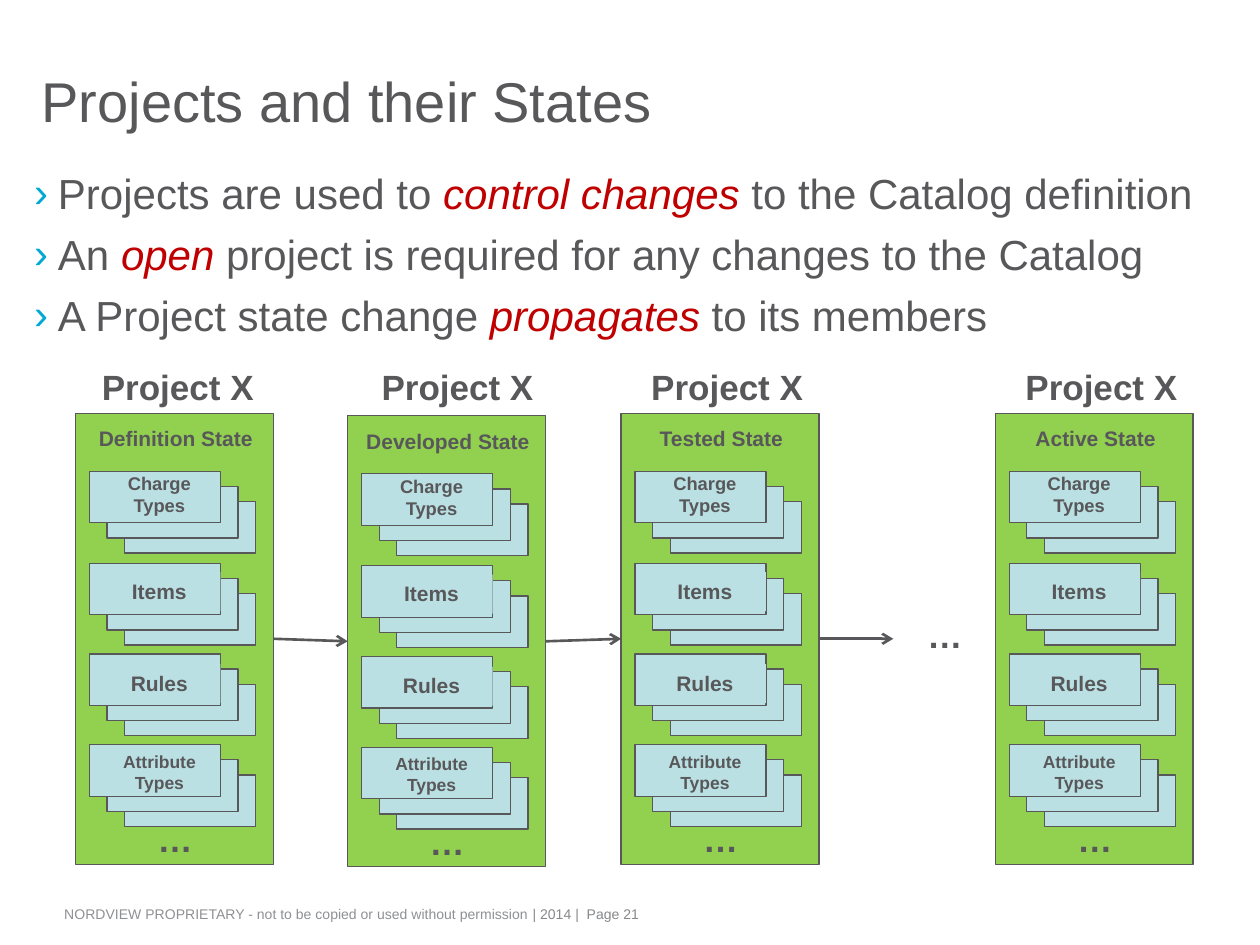
from lxml.etree import SubElement
from pptx import Presentation
from pptx.dml.color import RGBColor
from pptx.enum.shapes import MSO_CONNECTOR, MSO_SHAPE
from pptx.enum.text import MSO_ANCHOR, MSO_AUTO_SIZE, PP_ALIGN
from pptx.oxml.ns import qn
from pptx.util import Inches, Pt

COLORS = {"text": "58585A", "accent": "C00000", "bullet": "00A9D4",
          "panel": "92D050", "card": "BBE0E3",
          "footer": "8F9093", "page": "87888A"}
FONT = "Arial"

TITLE = "Projects and their States"
BULLETS = [
    ("Projects are used to ", "control changes", " to the Catalog definition"),
    ("An ", "open", " project is required for any changes to the Catalog"),
    ("A Project state change ", "propagates", " to its members"),
]
FOOTER = [("NORDVIEW PROPRIETARY - not to be copied or used without permission ", "footer"),
          ("| 2014 |  Page 21", "page")]
HEADING = "Project X"
# state, panel left, panel top, heading left
STATES = [
    ("Definition State", 0.6, 3.28, 0.71),
    ("Developed State", 2.76, 3.3, 2.93),
    ("Tested State", 4.93, 3.28, 5.07),
    ("Active State", 7.9, 3.28, 8.04),
]
# label, size, stack offset, label offset, label height, label fill
MEMBERS = [
    ("Charge Types", 10.5, 0.46, 0.42, 0.49, None),
    ("Items", 12, 1.19, 1.26, 0.31, "card"),
    ("Rules", 12, 1.91, 1.99, 0.31, "card"),
    ("Attribute Types", 10, 2.63, 2.63, 0.45, None),
]
PANEL_WIDTH, PANEL_HEIGHT = 1.57, 3.58
CARD_WIDTH, CARD_HEIGHT = 1.04, 0.41
CARD_STEP_X, CARD_STEP_Y = 0.14, 0.12


def rgb(name):
    return RGBColor.from_string(COLORS[name])


def add_run(para, text, size, color="text", bold=False, italic=False):
    span = para.add_run()
    span.text = text
    font = span.font
    font.name, font.size, font.bold, font.italic = FONT, Pt(size), bold, italic
    font.color.rgb = rgb(color)


def place(shape, left, top, width, height):
    shape.left, shape.top = Inches(left), Inches(top)
    shape.width, shape.height = Inches(width), Inches(height)


def set_frame(frame, anchor, side=0.1, edge=0.05):
    frame.word_wrap = True
    frame.auto_size = MSO_AUTO_SIZE.NONE
    frame.vertical_anchor = anchor
    frame.margin_left = frame.margin_right = Inches(side)
    frame.margin_top = frame.margin_bottom = Inches(edge)


def add_label(page, text, size, left, top, width, height,
              align=PP_ALIGN.CENTER, fill=None):
    box = page.shapes.add_textbox(Inches(left), Inches(top), Inches(width), Inches(height))
    if fill:
        box.fill.solid()
        box.fill.fore_color.rgb = rgb(fill)
    set_frame(box.text_frame, MSO_ANCHOR.TOP)
    para = box.text_frame.paragraphs[0]
    para.alignment = align
    add_run(para, text, size, bold=True)


def add_rectangle(page, left, top, width, height, fill):
    box = page.shapes.add_shape(MSO_SHAPE.RECTANGLE, Inches(left), Inches(top),
                                Inches(width), Inches(height))
    box.shadow.inherit = False
    box.fill.solid()
    box.fill.fore_color.rgb = rgb(fill)
    box.line.color.rgb = rgb("text")
    box.line.width = Pt(0.75)
    return box


def add_arrow(page, start, end=None, length=0.59):
    """Join two panels, or leave the arrow open after the first one."""
    left, top = start.left + start.width, start.top + start.height // 2
    arrow = page.shapes.add_connector(MSO_CONNECTOR.STRAIGHT, left, top,
                                      left + Inches(length), top)
    arrow.begin_connect(start, 3)
    if end is not None:
        arrow.end_connect(end, 1)
    arrow.line.color.rgb = rgb("text")
    arrow.line.width = Pt(1.5)
    SubElement(arrow.line._get_or_add_ln(), qn("a:tailEnd"), type="arrow")
    SubElement(arrow._element.spPr, qn("a:effectLst"))


def set_bullet(para, indent):
    properties = para._p.get_or_add_pPr()
    properties.set("marL", str(Inches(indent)))
    properties.set("indent", str(-Inches(indent)))
    color = SubElement(properties, qn("a:buClr"))
    SubElement(color, qn("a:srgbClr"), val=COLORS["bullet"])
    SubElement(properties, qn("a:buFont"), typeface=FONT)
    SubElement(properties, qn("a:buChar"), char="›")


def fill_title(title):
    place(title, 0.25, 0.26, 8.2, 1.19)
    set_frame(title.text_frame, MSO_ANCHOR.MIDDLE, 0.08, 0)
    para = title.text_frame.paragraphs[0]
    para.alignment = PP_ALIGN.LEFT
    para.line_spacing = 0.75
    add_run(para, TITLE, 32)


def fill_body(body):
    place(body, 0.19, 1.33, 9.72, 1.51)
    frame = body.text_frame
    set_frame(frame, MSO_ANCHOR.TOP, 0.08, 0)
    for number, (before, stressed, after) in enumerate(BULLETS):
        para = frame.add_paragraph() if number else frame.paragraphs[0]
        para.space_before = Pt(6)
        set_bullet(para, 0.19)
        add_run(para, before, 24)
        add_run(para, stressed, 24, "accent", italic=True)
        add_run(para, after, 24)


def add_footer(page):
    box = page.shapes.add_textbox(Inches(0.43), Inches(7.14), Inches(8.09), Inches(0.24))
    set_frame(box.text_frame, MSO_ANCHOR.TOP, 0.08)
    for text, color in FOOTER:
        add_run(box.text_frame.paragraphs[0], text, 8, color)


def add_state(page, state, left, top, heading_left):
    panel = add_rectangle(page, left, top, PANEL_WIDTH, PANEL_HEIGHT, "panel")
    add_label(page, state, 12, left + 0.04, top + 0.05, 1.51, 0.31)
    for text, size, stack_offset, label_offset, height, fill in MEMBERS:
        for depth in (2, 1, 0):
            add_rectangle(page, left + 0.11 + depth * CARD_STEP_X,
                          top + stack_offset + depth * CARD_STEP_Y,
                          CARD_WIDTH, CARD_HEIGHT, "card")
        add_label(page, text, size, left + 0.18, top + label_offset, 0.97, height, fill=fill)
    add_label(page, "…", 20, left + 0.51, top + 3.16, 0.56, 0.45)
    add_label(page, HEADING, 20, heading_left, 2.85, 1.43, 0.45, PP_ALIGN.LEFT)
    return panel


def main():
    deck = Presentation()
    deck.slide_width, deck.slide_height = Inches(10), Inches(7.5)
    page = deck.slides.add_slide(deck.slide_layouts[1])
    fill_title(page.shapes.title)
    fill_body(page.placeholders[1])
    add_footer(page)
    panels = [add_state(page, *state) for state in STATES]
    # The last arrow leads to the ellipsis instead of the next panel.
    for start, end in zip(panels, [*panels[1:3], None]):
        add_arrow(page, start, end)
    add_label(page, "…", 20, 7.22, 4.82, 0.56, 0.45)
    deck.save("out.pptx")


if __name__ == "__main__":
    main()
